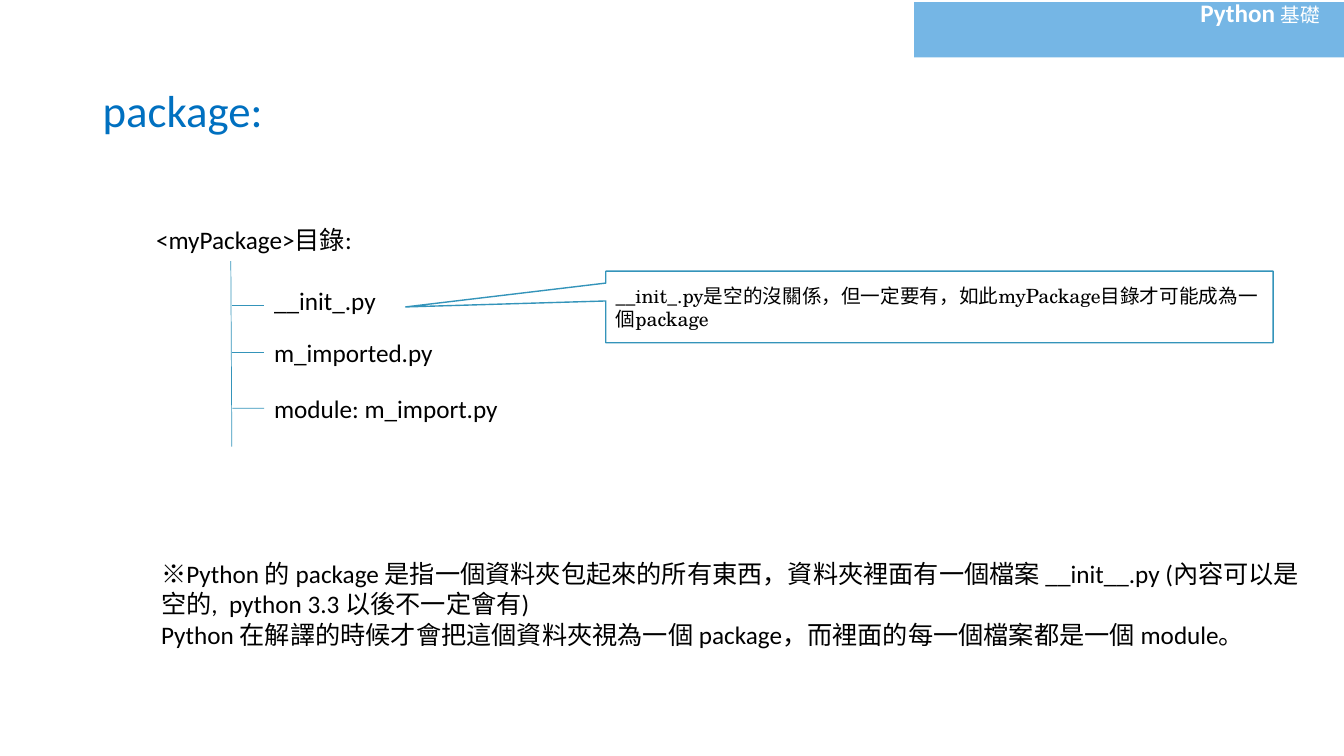
"""Build the slide that explains how a Python package is laid out."""
from pptx import Presentation
from pptx.dml.color import RGBColor
from pptx.enum.shapes import MSO_CONNECTOR as Connector, MSO_SHAPE as Shape
from pptx.enum.text import MSO_ANCHOR as Anchor, PP_ALIGN as Align
from pptx.oxml.ns import qn
from pptx.util import Pt
from lxml.etree import SubElement

COLOURS = {"banner": "75B6E5", "title": "0070C0", "line": "3494BA",
           "text": "000000", "light": "FFFFFF"}
LATIN, HAN, SERIF = "Calibri", "Noto Sans CJK TC", "TeX Gyre Schola"
LABEL_HEIGHT = 28.8
TREE_FILES = [
    ("__init_.py", 200.16, 87.84, 3.6),
    ("m_imported.py", 237.6, 128.88, 0),
    ("module: m_import.py", 277.2, 176.4, 0),
]
NOTES = [
    [("※", {"name": HAN}),
     ("Python 的 package 是指一個資料夾包起來的所有東西，資料夾裡面有一個檔案\u00a0__init__.py\u00a0"
      "(內容可以是空的,  python 3.3 以後不一定會有)", {})],
    [("Python 在解譯的時候才會把這個資料夾視為一個 package，"
      "而裡面的每一個檔案都是一個 module。", {})],
]


def colour(name):
    """Return the named colour."""
    return RGBColor.from_string(COLOURS[name])


def write_text(shape, paragraphs, wrap=True, anchor=Anchor.TOP, spacing=1.0, **base):
    """Fill a shape with paragraphs made of (text, format) runs."""
    frame = shape.text_frame
    frame.word_wrap, frame.vertical_anchor = wrap, anchor
    for index, runs in enumerate(paragraphs):
        paragraph = frame.add_paragraph() if index else frame.paragraphs[0]
        paragraph.alignment, paragraph.line_spacing = Align.LEFT, spacing
        for text, changes in runs:
            run = paragraph.add_run()
            run.text = text
            values = {"name": LATIN, "size": 18, "bold": False, "colour": "text",
                      **base, **changes}
            run.font.color.rgb = colour(values.pop("colour"))
            values["size"] = Pt(values["size"])
            for key, value in values.items():
                setattr(run.font, key, value)
            SubElement(run.font._element, qn("a:ea"), typeface=HAN)


def add_text(slide, box, paragraphs, **options):
    """Add a text box and return it."""
    shape = slide.shapes.add_textbox(*map(Pt, box))
    write_text(shape, paragraphs, **options)
    return shape


def add_box(slide, kind, box, fill=None, line=None):
    """Add a preset shape with a plain fill or outline and return it."""
    shape = slide.shapes.add_shape(kind, *map(Pt, box))
    shape.shadow.inherit = False
    if fill:
        shape.fill.solid()
        shape.fill.fore_color.rgb = colour(fill)
    else:
        shape.fill.background()
    if line:
        shape.line.color.rgb = colour(line)
        shape.line.width = Pt(1)
    else:
        shape.line.fill.background()
    return shape


def add_line(slide, *ends):
    """Add a thin tree line and return it."""
    line = slide.shapes.add_connector(Connector.STRAIGHT, *map(Pt, ends))
    line.line.color.rgb = colour("line")
    line.line.width = Pt(0.5)
    SubElement(line._element.spPr, qn("a:effectLst"))
    return line


def add_tree(slide):
    """Draw the folder, its stem and one branch for each file."""
    add_text(slide, (104.4, 156.96, 155.52, LABEL_HEIGHT),
             [[("<myPackage>目錄:", {})]], wrap=False)
    add_line(slide, 164.88, 186.48, 165.6, 318.96)
    for name, top, width, drop in TREE_FILES:
        label = add_text(slide, (188.64, top, width, LABEL_HEIGHT),
                         [[(name, {})]], wrap=False)
        middle = top + LABEL_HEIGHT / 2 + drop
        branch = add_line(slide, 166, middle, 188.64, middle)
        if not drop:
            branch.end_connect(label, 1)


def add_callout(slide):
    """Add the remark that points at the init file."""
    callout = add_box(slide, Shape.RECTANGULAR_CALLOUT,
                      (432.72, 193.68, 476.64, 51.12), line="line")
    callout.adjustments[0], callout.adjustments[1] = -0.8, 0
    remark = "__init_.py是空的沒關係，但一定要有，如此myPackage目錄才可能成為一個package"
    write_text(callout, [[(remark, {})]], anchor=Anchor.MIDDLE, name=SERIF, size=14)


def main():
    """Build the slide and save it."""
    presentation = Presentation()
    presentation.slide_width, presentation.slide_height = Pt(960), Pt(540)
    slide = presentation.slides.add_slide(presentation.slide_layouts[6])
    add_box(slide, Shape.RECTANGLE, (653, 1.44, 307, 39.6), fill="banner")
    add_text(slide, (850.32, -5.76, 100.8, LABEL_HEIGHT),
             [[("Python ", {"bold": True}), ("基礎", {"size": 14})]], colour="light")
    add_text(slide, (66.24, 28.8, 828, 104.4), [[("package:", {})]],
             anchor=Anchor.MIDDLE, spacing=0.9, size=32, colour="title")
    add_tree(slide)
    add_callout(slide)
    add_text(slide, (108, 395.28, 828, 72.72), NOTES)
    presentation.save("out.pptx")


if __name__ == "__main__":
    main()
